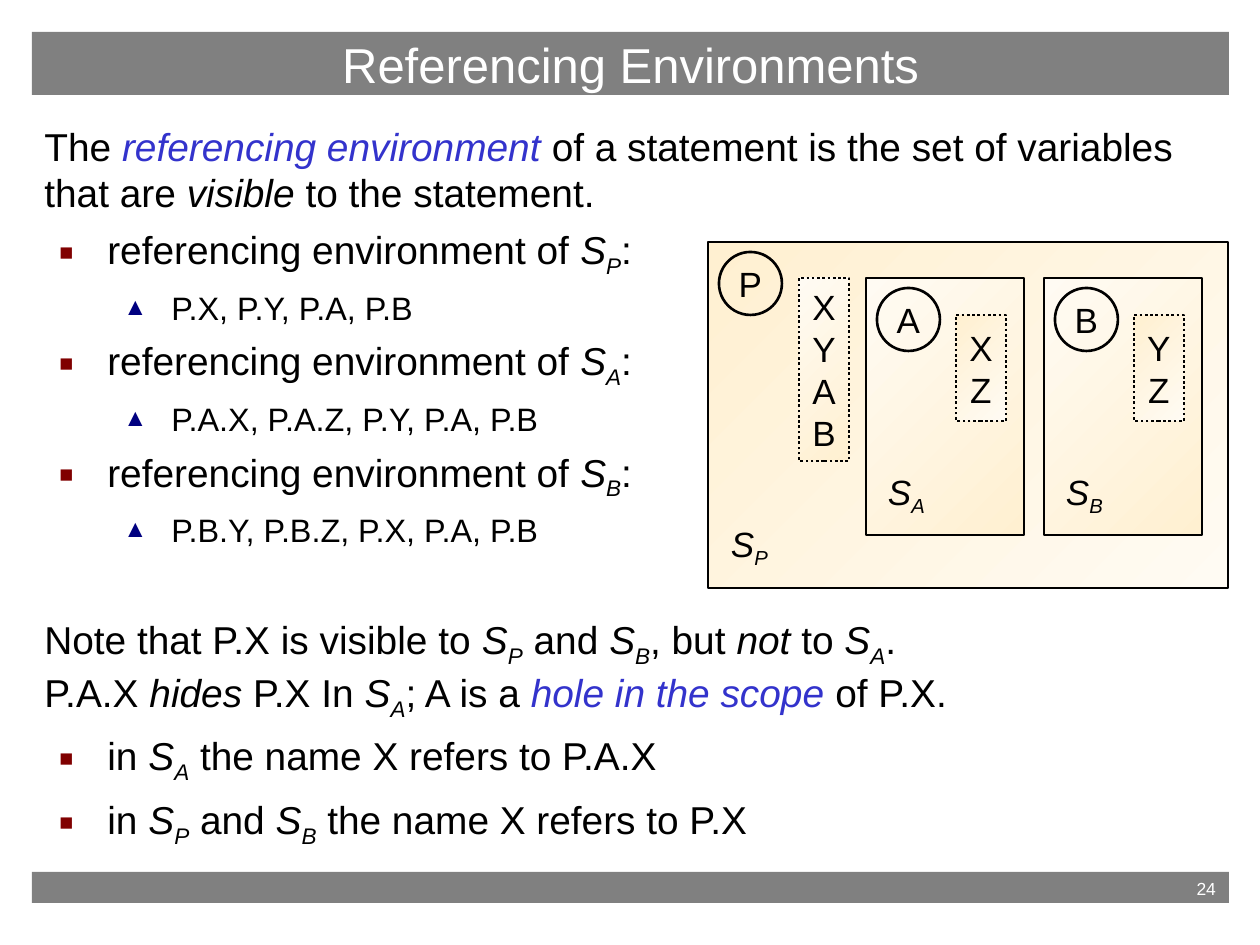
from dataclasses import dataclass

from lxml import etree
from pptx import Presentation
from pptx import util as u
from pptx.dml.color import RGBColor
from pptx.enum import dml, shapes, text
from pptx.oxml.ns import qn

SCALE = 914400 / 126
ALIGN = text.PP_ALIGN


@dataclass(frozen=True)
class Theme:
    font: str = "Arial"
    ink: str = "000000"
    paper: str = "FFFFFF"
    bar: str = "808080"
    key: str = "3333CC"
    square: str = "800000"
    triangle: str = "000080"
    pale: str = "FFFBF3"
    cream: str = "FFF0D1"
    title: float = 28
    body: float = 22.2
    detail: float = 18.5
    label: float = 20
    number: float = 10
    stroke: float = 1.5


THEME = Theme()
MARKS = {
    "!": {"italic": True, "color": THEME.key},
    "*": {"italic": True},
    "_": {"italic": True, "baseline": "-25000"},
}
LEVELS = {
    0: {"size": THEME.body, "before": 6},
    1: {"size": THEME.body, "before": 6, "left": 63, "char": "■", "color": THEME.square, "percent": 60},
    2: {"size": THEME.detail, "before": 5, "left": 127, "char": "▲", "color": THEME.triangle, "percent": 75},
}
HANGING = -48
SECTION_GAP = 38
ENVIRONMENTS = [
    ("P", "P.X, P.Y, P.A, P.B"),
    ("A", "P.A.X, P.A.Z, P.Y, P.A, P.B"),
    ("B", "P.B.Y, P.B.Z, P.X, P.A, P.B"),
]
INTRO = "The |!referencing environment| of a statement is the set of variables that are |*visible| to the statement."
NOTE = (
    "Note that P.X is visible to |*S|_P| and |*S|_B|, but |*not| to |*S|_A|.\n"
    "P.A.X |*hides| P.X In |*S|_A|; A is a |!hole in the scope| of P.X."
)
CLOSING = ["in |*S|_A| the name X refers to P.A.X", "in |*S|_P| and |*S|_B| the name X refers to P.X"]


def px(length):
    return u.Emu(round(length * SCALE))


def apply(target, values):
    for name, value in values.items():
        setattr(target, name, value)


class Slide:
    """Draws styled elements on one page."""

    def __init__(self, deck, theme):
        self.theme = theme
        self.page = deck.slides.add_slide(deck.slide_layouts[6])

    def add_words(self, para, words, size, color):
        for part in words.split("|"):
            mark = MARKS.get(part[:1], {})
            for index, line in enumerate((part[1:] if mark else part).split("\n")):
                if index:
                    para.add_line_break()
                if not line:
                    continue
                span = para.add_run()
                span.text = line
                apply(span.font, {"name": self.theme.font, "size": u.Pt(size), "italic": mark.get("italic", False)})
                span.font.color.rgb = RGBColor.from_string(mark.get("color", color))
                if "baseline" in mark:
                    span.font._element.set("baseline", mark["baseline"])

    def caption(self, box, words, size, color, align=ALIGN.CENTER, anchor=text.MSO_ANCHOR.MIDDLE, inset=(0, 0)):
        side, edge = map(px, inset)
        apply(box.text_frame, {
            "margin_left": side, "margin_right": side, "margin_top": edge, "margin_bottom": edge,
            "vertical_anchor": anchor, "word_wrap": False,
        })
        para = box.text_frame.paragraphs[0]
        para.alignment = align
        self.add_words(para, words, size, color)

    def shape(self, kind, area):
        shape = self.page.shapes.add_shape(kind, *map(px, area))
        shape.shadow.inherit = False
        return shape

    def bar(self, area, words, size, **layout):
        bar = self.shape(shapes.MSO_SHAPE.RECTANGLE, area)
        bar.fill.solid()
        bar.fill.fore_color.rgb = RGBColor.from_string(self.theme.bar)
        bar.line.fill.background()
        self.caption(bar, words, size, self.theme.paper, inset=(13, 6), **layout)

    def outline(self, shape, dash=None):
        shape.line.color.rgb = RGBColor.from_string(self.theme.ink)
        apply(shape.line, {"width": u.Pt(self.theme.stroke), "dash_style": dash})

    def panel(self, area, colors, words="", dash=None):
        panel = self.shape(shapes.MSO_SHAPE.RECTANGLE, area)
        panel.fill.gradient()
        panel.fill.gradient_angle = 135
        for stop, color in zip(panel.fill.gradient_stops, colors):
            stop.color.rgb = RGBColor.from_string(color)
        self.outline(panel, dash)
        if words:
            self.caption(panel, words, self.theme.label, self.theme.ink)

    def circle(self, left, top, words):
        circle = self.shape(shapes.MSO_SHAPE.OVAL, (left, top, 63, 63))
        circle.fill.background()
        self.outline(circle)
        self.caption(circle, words, self.theme.label, self.theme.ink)

    def label(self, left, top, words):
        box = self.page.shapes.add_textbox(*map(px, (left, top, 37, 48)))
        self.caption(box, words, self.theme.label, self.theme.ink)

    def scope(self, area, name, colors, names, names_area, label_at):
        left, top = area[:2]
        self.panel(area, colors)
        self.circle(left + 11, top + 10, name)
        self.panel(names_area, colors[::-1], "\n".join(names), dml.MSO_LINE.ROUND_DOT)
        self.label(*label_at, f"|*S|_{name}")

    def bullet(self, para, style):
        props = para._p.get_or_add_pPr()
        for name, length in {"marL": style["left"], "indent": HANGING}.items():
            props.set(name, str(int(px(length))))
        color = etree.SubElement(props, qn("a:buClr"))
        etree.SubElement(color, qn("a:srgbClr"), val=style["color"])
        etree.SubElement(props, qn("a:buSzPct"), val=str(style["percent"] * 1000))
        etree.SubElement(props, qn("a:buFont"), typeface=self.theme.font)
        etree.SubElement(props, qn("a:buChar"), char=style["char"])

    def body(self, area, items):
        frame = self.page.shapes.add_textbox(*map(px, area)).text_frame
        frame.word_wrap = True
        for index, (level, words, gap) in enumerate(items):
            para = frame.add_paragraph() if index else frame.paragraphs[0]
            style = LEVELS[level]
            para.level = level
            if level:
                self.bullet(para, style)
            if index:
                para.space_before = u.Pt(gap or style["before"])
            self.add_words(para, words, style["size"], self.theme.ink)


def main():
    deck = Presentation()
    apply(deck, {"slide_width": px(1260), "slide_height": px(945)})
    slide = Slide(deck, THEME)
    slide.bar((32, 872, 1197, 31), "24", THEME.number, align=ALIGN.RIGHT, anchor=text.MSO_ANCHOR.TOP)
    slide.bar((32, 32, 1197, 63), "Referencing Environments", THEME.title)

    items = [(0, INTRO, None)]
    for name, variables in ENVIRONMENTS:
        items += [(1, f"referencing environment of |*S|_{name}|:", None), (2, variables, None)]
    items.append((0, NOTE, SECTION_GAP))
    items += [(1, words, None) for words in CLOSING]
    slide.body((32, 116, 1197, 735), items)

    shades = (THEME.pale, THEME.cream)
    slide.scope((708, 242, 520, 346), "P", shades, "XYAB", (799, 278, 50, 183), (731, 522))
    for index, (name, names) in enumerate([("A", "XZ"), ("B", "YZ")]):
        left = 866 + 178 * index
        slide.scope((left, 278, 158, 257), name, shades[::-1], names, (left + 90, 315, 50, 106), (left + 22, 470))
    deck.save("out.pptx")


if __name__ == "__main__":
    main()
